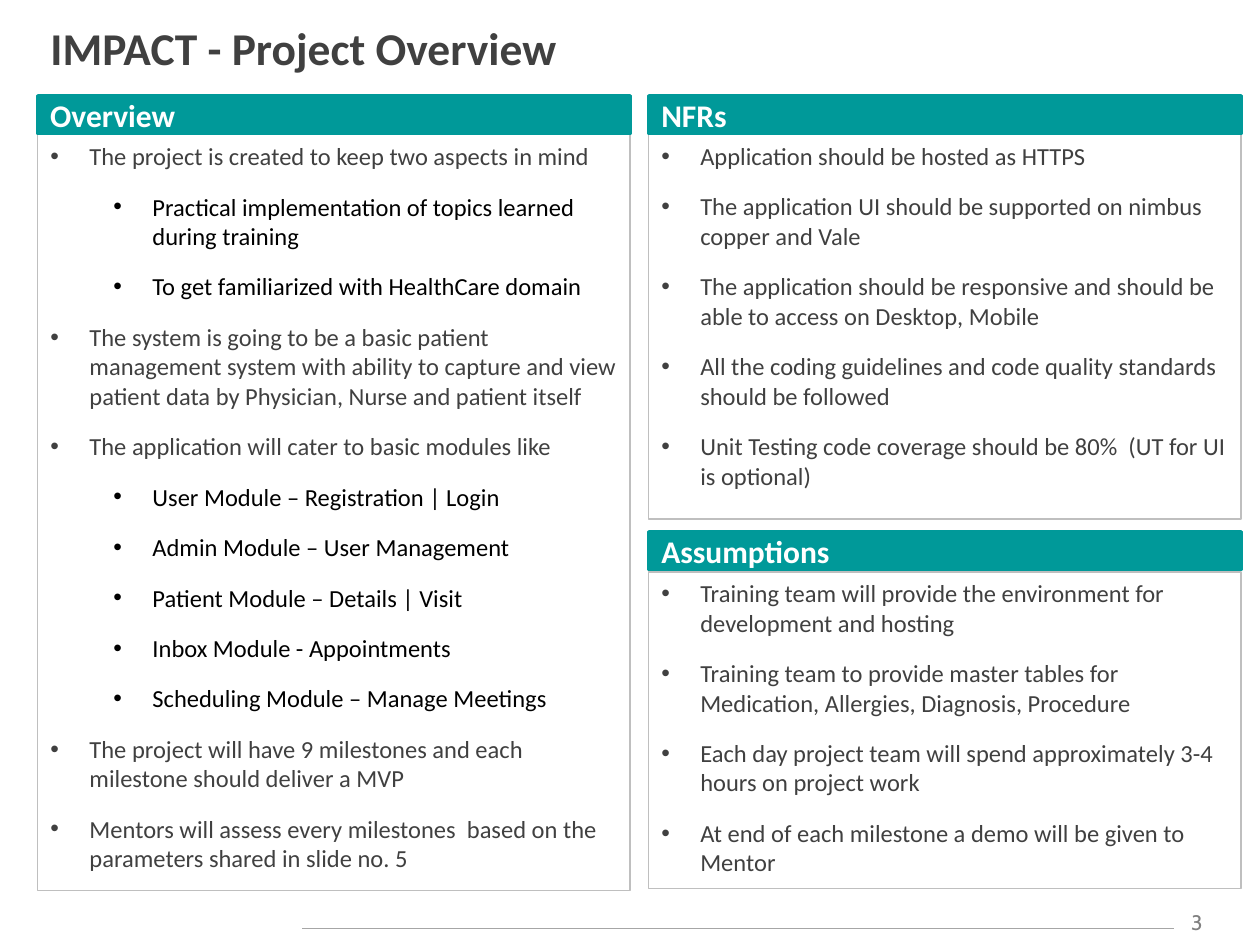
from lxml.etree import SubElement
from pptx import Presentation
from pptx.dml.color import RGBColor
from pptx.enum.shapes import MSO_CONNECTOR as Connector, MSO_SHAPE as Shape
from pptx.enum.text import MSO_ANCHOR as Anchor, MSO_AUTO_SIZE as AutoSize, PP_ALIGN as Align
from pptx.oxml.ns import qn
from pptx.util import Inches, Pt

COLORS = {"teal": "009999", "border": "BFBFBF", "rule": "A6A6A6", "number": "808080",
          "text": "404040", "detail": "000000", "white": "FFFFFF"}
TITLE = "IMPACT - Project Overview"
PAGE_NUMBER = "3"
OVERVIEW = [
    (0, "The project is created to keep two aspects in mind"),
    (1, "Practical implementation of topics learned during training"),
    (1, "To get familiarized with HealthCare domain"),
    (0, "The system is going to be a basic patient management system with ability to "
        "capture and view patient data by Physician, Nurse and patient itself"),
    (0, "The application will cater to basic modules like"),
    (1, "User Module – Registration | Login"),
    (1, "Admin Module – User Management"),
    (1, "Patient Module – Details | Visit"),
    (1, "Inbox Module - Appointments"),
    (1, "Scheduling Module – Manage Meetings"),
    (0, "The project will have 9 milestones and each milestone should deliver a MVP"),
    (0, "Mentors will assess every milestones  based on the parameters shared in slide no. 5"),
]
NFRS = [
    (0, "Application should be hosted as HTTPS"),
    (0, "The application UI should be supported on nimbus copper and Vale"),
    (0, "The application should be responsive and should be able to access on Desktop, Mobile"),
    (0, "All the coding guidelines and code quality standards should be followed"),
    (0, "Unit Testing code coverage should be 80%  (UT for UI is optional)"),
]
ASSUMPTIONS = [
    (0, "Training team will provide the environment for development and hosting"),
    (0, "Training team to provide master tables for Medication, Allergies, Diagnosis, Procedure"),
    (0, "Each day project team will spend approximately 3-4 hours on project work"),
    (0, "At end of each milestone a demo will be given to Mentor"),
]
LEFT, RIGHT, PANEL_WIDTH, HEADER_HEIGHT = 0.3, 5.15, 4.7, 0.3
PANELS = [
    ("Overview", OVERVIEW, LEFT, 0.76, 1.07, 6),
    ("NFRs", NFRS, RIGHT, 0.76, 1.07, 3.05),
    ("Assumptions", ASSUMPTIONS, RIGHT, 4.22, 4.54, 2.51),
]
INDENT, LEVEL_STEP = 0.31, 0.5
FRAME_FORMAT = {"word_wrap": True, "auto_size": AutoSize.NONE,
                "margin_left": Inches(0.1), "margin_right": Inches(0.1),
                "margin_top": Inches(0.05), "margin_bottom": Inches(0.05)}
BULLET_FORMAT = {"alignment": Align.LEFT, "space_before": Pt(6), "space_after": Pt(6)}


def apply(target, values):
    """Set each named attribute on the target."""
    for name, value in values.items():
        setattr(target, name, value)


def color(name):
    """Return the named colour."""
    return RGBColor.from_string(COLORS[name])


def place(shape, left, top, width, height):
    """Move and size a shape in inches."""
    apply(shape, {"left": Inches(left), "top": Inches(top),
                  "width": Inches(width), "height": Inches(height)})


def outline(shape, name, width):
    """Give a shape or connector a solid line."""
    shape.line.color.rgb = color(name)
    shape.line.width = Pt(width)


def write(paragraph, text, size, color_name, bold=False, font="Calibri"):
    """Add one formatted run to a paragraph."""
    run = paragraph.add_run()
    run.text = text
    apply(run.font, {"size": Pt(size), "name": font, "bold": bold})
    run.font.color.rgb = color(color_name)


def write_line(shape, text, size, color_name, alignment=Align.LEFT, **options):
    """Fill a shape with a single vertically centred line."""
    apply(shape.text_frame, {**FRAME_FORMAT, "vertical_anchor": Anchor.MIDDLE})
    paragraph = shape.text_frame.paragraphs[0]
    paragraph.alignment = alignment
    write(paragraph, text, size, color_name, **options)


def write_bullets(shape, items):
    """Fill a shape with a two-level bulleted list."""
    frame = shape.text_frame
    apply(frame, {**FRAME_FORMAT, "vertical_anchor": Anchor.TOP})
    for index, (level, text) in enumerate(items):
        paragraph = frame.add_paragraph() if index else frame.paragraphs[0]
        apply(paragraph, {**BULLET_FORMAT, "level": level})
        properties = paragraph._p.get_or_add_pPr()
        properties.set("marL", str(Inches(INDENT + level * LEVEL_STEP)))
        properties.set("indent", str(-Inches(INDENT)))
        SubElement(properties, qn("a:buFont")).set("typeface", "Arial")
        SubElement(properties, qn("a:buChar")).set("char", "•")
        write(paragraph, text, 14, "detail" if level else "text")


def add_rectangle(slide):
    """Add a plain rectangle without shadow."""
    shape = slide.shapes.add_shape(Shape.RECTANGLE, 0, 0, 0, 0)
    shape.shadow.inherit = False
    return shape


def add_footer(slide):
    """Add the footer rule and the page number."""
    rule = slide.shapes.add_connector(
        Connector.STRAIGHT, Inches(2.4), Inches(7.37), Inches(9.32), Inches(7.37))
    outline(rule, "rule", 0.75)
    SubElement(rule._element.spPr, qn("a:effectLst"))
    number = slide.shapes.add_textbox(Inches(9.25), Inches(7.17), Inches(0.5), Inches(0.3))
    write_line(number, PAGE_NUMBER, 12, "number", Align.CENTER, font="Cabin")


def main():
    """Build the project overview slide."""
    presentation = Presentation()
    apply(presentation, {"slide_width": Inches(10), "slide_height": Inches(7.5)})
    slide = presentation.slides.add_slide(presentation.slide_layouts[1])
    title, body = slide.shapes.title, slide.placeholders[1]
    place(title, 0.3, 0.1, 9.54, 0.55)
    write_line(title, TITLE, 26, "text", bold=True)
    add_footer(slide)
    for heading, items, left, header_top, top, height in PANELS:
        panel = body if items is OVERVIEW else add_rectangle(slide)
        place(panel, left, top, PANEL_WIDTH, height)
        panel.fill.background()
        outline(panel, "border", 0.75)
        write_bullets(panel, items)
        header = add_rectangle(slide)
        place(header, left, header_top, PANEL_WIDTH, HEADER_HEIGHT)
        header.fill.solid()
        header.fill.fore_color.rgb = color("teal")
        outline(header, "teal", 2)
        write_line(header, heading, 18, "white", bold=True)
    presentation.save("out.pptx")


if __name__ == "__main__":
    main()
